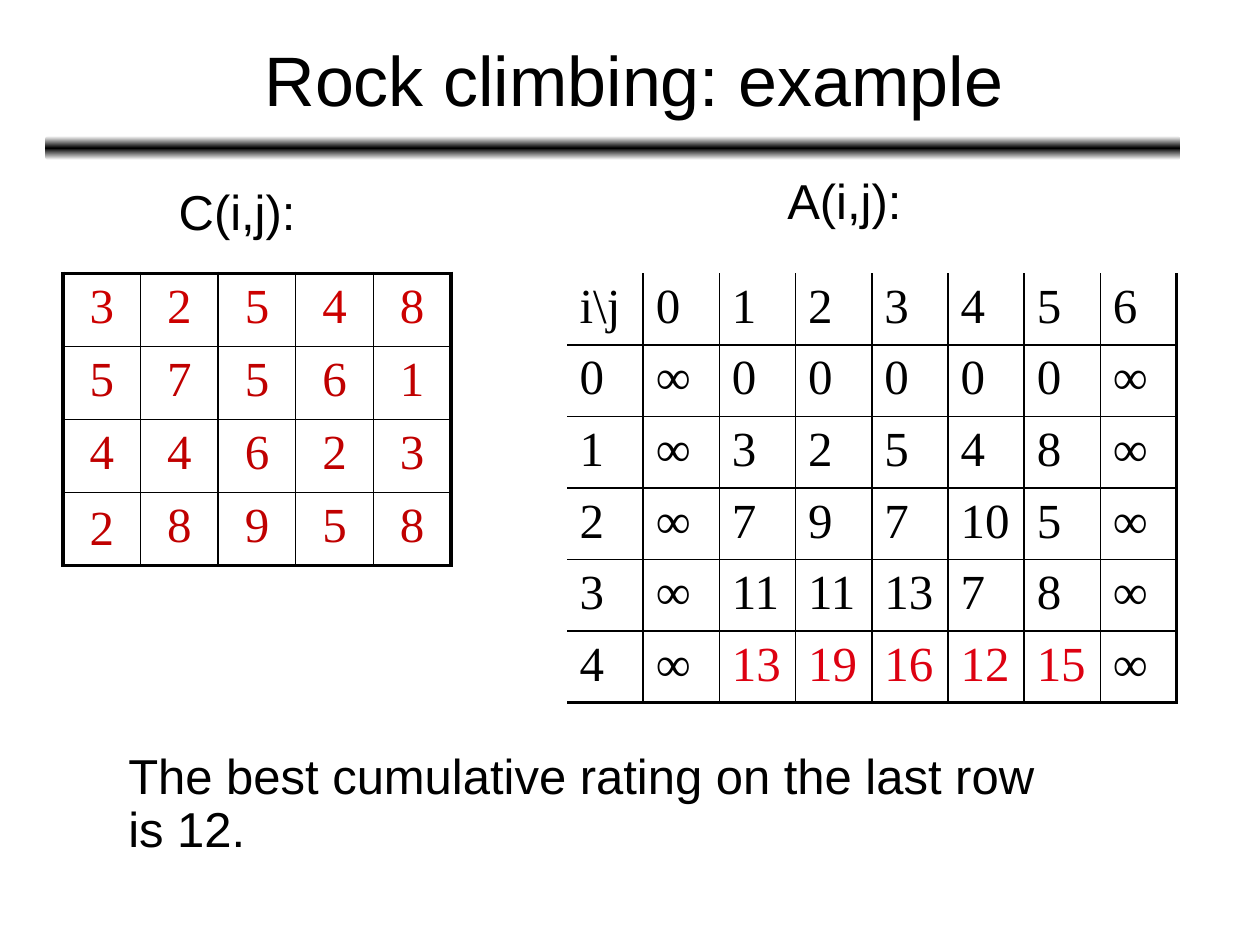
from copy import deepcopy
from dataclasses import dataclass
from typing import Callable

from lxml.etree import SubElement
from pptx import Presentation
from pptx.dml.color import RGBColor
from pptx.enum.dml import MSO_LINE_DASH_STYLE as Dash
from pptx.enum.shapes import MSO_SHAPE as Shape
from pptx.enum.text import MSO_ANCHOR as Anchor, MSO_AUTO_SIZE as AutoSize, PP_ALIGN as Align
from pptx.oxml.ns import qn
from pptx.util import Inches, Pt


@dataclass(frozen=True)
class Theme:
    black: str = "000000"
    white: str = "FFFFFF"
    bright_red: str = "CC0000"
    dark_red: str = "C00000"
    result_red: str = "DD0111"
    sans: str = "Arial"
    serif: str = "Times New Roman"
    title_size: float = 40
    text_size: float = 28
    thin: float = 1
    thick: float = 2.25


@dataclass(frozen=True)
class Label:
    text: str
    left: float
    top: float
    width: float
    height: float = 0.52


@dataclass(frozen=True)
class Grid:
    rows: list[list[str]]
    left: float
    top: float
    col_width: float
    row_height: float
    align: Align
    outer: dict[str, float]  # outline widths by side, 0 for an open side
    color: Callable[[int, int], str]


THEME = Theme()


def format_run(r, size: float, font: str, color: str) -> None:
    for name, value in {"size": Pt(size), "name": font, "bold": False}.items():
        setattr(r.font, name, value)
    r.font.color.rgb = RGBColor.from_string(color)


def add_label(slide, label: Label) -> None:
    sp = slide.shapes.add_textbox(
        *map(Inches, (label.left, label.top, label.width, label.height)))
    tf = sp.text_frame
    for name, value in {"word_wrap": True, "auto_size": AutoSize.SHAPE_TO_FIT_TEXT}.items():
        setattr(tf, name, value)
    p = tf.paragraphs[0]
    p.line_spacing = 0.9
    r = p.add_run()
    r.text = label.text
    format_run(r, THEME.text_size, THEME.sans, THEME.black)


def set_border(cell, side: str, width: float) -> None:
    ln = SubElement(cell._tc.get_or_add_tcPr(), qn(f"a:ln{side}"), w=str(Pt(width)))
    if not width:
        SubElement(ln, qn("a:noFill"))
        return
    fill = SubElement(ln, qn("a:solidFill"))
    SubElement(fill, qn("a:srgbClr"), val=THEME.black)
    SubElement(ln, qn("a:prstDash"), val="solid")


def add_grid(slide, grid: Grid):
    n_rows, n_cols = len(grid.rows), len(grid.rows[0])
    table = slide.shapes.add_table(
        n_rows, n_cols, Inches(grid.left), Inches(grid.top),
        Inches(n_cols * grid.col_width), Inches(n_rows * grid.row_height)).table
    for name in ("first_row", "horz_banding"):
        setattr(table, name, False)
    for col in table.columns:
        col.width = Inches(grid.col_width)
    for row in table.rows:
        row.height = Inches(grid.row_height)
    for i, values in enumerate(grid.rows):
        for j, value in enumerate(values):
            cell = table.cell(i, j)
            p = cell.text_frame.paragraphs[0]
            p.alignment = grid.align
            r = p.add_run()
            r.text = value
            format_run(r, THEME.text_size, THEME.serif, grid.color(i, j))
            on_edge = {"L": j == 0, "R": j == n_cols - 1, "T": i == 0, "B": i == n_rows - 1}
            for side, outside in on_edge.items():
                set_border(cell, side, grid.outer[side] if outside else THEME.thin)
            cell.fill.background()
    return table


def add_title(slide, text: str) -> None:
    sp = slide.shapes.title
    box = {"left": 0.78, "top": 0, "width": 8.5, "height": 1.25}
    for name, value in box.items():
        setattr(sp, name, Inches(value))
    tf = sp.text_frame
    tf.vertical_anchor = Anchor.MIDDLE
    p = tf.paragraphs[0]
    p.alignment = Align.CENTER
    r = p.add_run()
    r.text = text
    format_run(r, THEME.title_size, THEME.sans, THEME.black)


def add_divider(slide) -> None:
    sp = slide.shapes.add_shape(
        Shape.ROUNDED_RECTANGLE, *map(Inches, (0.36, 1.08, 9.01, 0.19)))
    sp.shadow.inherit = False
    sp.line.fill.background()
    sp.fill.gradient()
    sp.fill.gradient_angle = 90
    # The default gradient has two stops; the bar fades out on both sides
    stops = sp._element.spPr.find(qn("a:gradFill")).find(qn("a:gsLst"))
    stops.append(deepcopy(stops[-1]))
    colors = (THEME.white, THEME.black, THEME.white)
    for stop, position, color in zip(sp.fill.gradient_stops, (0, 0.5, 1), colors):
        stop.position = position
        stop.color.rgb = RGBColor.from_string(color)


RATINGS = Grid(
    rows=[list(row) for row in ("32548", "57561", "44623", "28958")],
    left=0.5, top=2.17, col_width=0.616, row_height=0.58, align=Align.CENTER,
    outer=dict.fromkeys("LRTB", THEME.thick),
    color=lambda i, j: THEME.bright_red if i == 0 else THEME.dark_red,
)

CUMULATIVE = Grid(
    rows=[line.split() for line in (
        "i\\j 0 1 2 3 4 5 6",
        "0 ∞ 0 0 0 0 0 ∞",
        "1 ∞ 3 2 5 4 8 ∞",
        "2 ∞ 7 9 7 10 5 ∞",
        "3 ∞ 11 11 13 7 8 ∞",
        "4 ∞ 13 19 16 12 15 ∞",
    )],
    left=4.5, top=2.17, col_width=0.605, row_height=0.568, align=Align.LEFT,
    outer={"L": 0, "R": THEME.thick, "T": 0, "B": THEME.thick},
    color=lambda i, j: THEME.result_red if i == 5 and 2 <= j <= 6 else THEME.black,
)

LABELS = (
    Label("C(i,j):", 1.32, 1.44, 1.14),
    Label("A(i,j):", 6.15, 1.36, 1.16),
    Label("The best cumulative rating on the last row is 12.", 0.92, 5.92, 7.69),
)


def main() -> None:
    prs = Presentation()
    prs.slide_width, prs.slide_height = Inches(10), Inches(7.5)
    slide = prs.slides.add_slide(prs.slide_layouts[5])

    # Heading
    add_divider(slide)
    add_title(slide, "Rock climbing: example")

    # Tables; the lower left rating sits in the middle of its cell
    ratings = add_grid(slide, RATINGS)
    ratings.cell(3, 0).vertical_anchor = Anchor.MIDDLE
    add_grid(slide, CUMULATIVE)

    # Captions and conclusion
    for label in LABELS:
        add_label(slide, label)

    prs.save("out.pptx")


if __name__ == "__main__":
    main()
